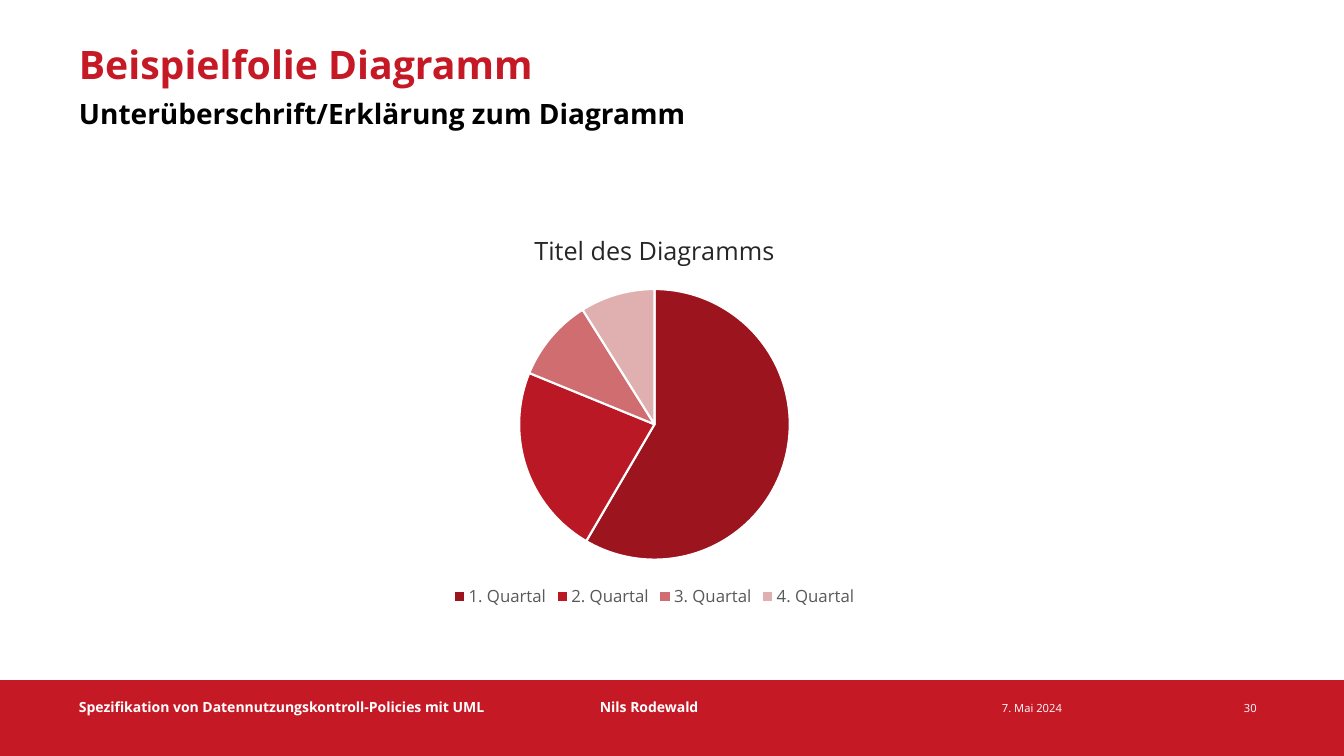
import pptx
import pptx.chart.data
import pptx.dml.color
import pptx.enum.chart
import pptx.enum.shapes
import pptx.enum.text
import pptx.util
from dataclasses import dataclass

EMU_PER_PX = 914400 / 100.8


def px(length):
    return pptx.util.Emu(round(length * EMU_PER_PX))


def rgb(code):
    return pptx.dml.color.RGBColor.from_string(code)


@dataclass(frozen=True)
class Theme:
    font: str = "Open Sans"
    red: str = "C51926"
    white: str = "FFFFFF"
    black: str = "000000"
    chart_title: str = "262626"
    legend: str = "595959"
    slices: tuple = ("9C141E", "B91824", "CF6D70", "E0AFB0")
    title_size: int = 28
    subtitle_size: int = 20
    chart_title_size: int = 18
    legend_size: int = 12
    footer_size: int = 10
    small_size: int = 8


THEME = Theme()


def style(font, size, color, bold=False):
    font.name = THEME.font
    font.size = pptx.util.Pt(size)
    font.bold = bold
    font.color.rgb = rgb(color)


def add_text(slide, box, text, size, color, bold=False,
             anchor=pptx.enum.text.MSO_ANCHOR.TOP):
    frame = slide.shapes.add_textbox(*map(px, box)).text_frame
    frame.word_wrap = True
    frame.vertical_anchor = anchor
    paragraph = frame.paragraphs[0]
    paragraph.text = text
    style(paragraph.font, size, color, bold)
    return paragraph


def add_header(slide, box):
    left, top, width, height = box
    title_height = 54
    title = add_text(slide, (left, top, width, title_height),
                     "Beispielfolie Diagramm", THEME.title_size, THEME.red,
                     bold=True, anchor=pptx.enum.text.MSO_ANCHOR.MIDDLE)
    title.line_spacing = 0.9
    add_text(slide, (left, top + title_height - 2, width, height - title_height),
             "Unterüberschrift/Erklärung zum Diagramm",
             THEME.subtitle_size, THEME.black, bold=True)


def add_quarter_chart(slide, box):
    quarters = pptx.chart.data.CategoryChartData()
    quarters.categories = [f"{number}. Quartal" for number in range(1, 5)]
    quarters.add_series("Series 1", (59, 23, 10, 9))
    chart = slide.shapes.add_chart(
        pptx.enum.chart.XL_CHART_TYPE.PIE, *map(px, box), quarters).chart
    style(chart.font, THEME.legend_size, THEME.legend)

    # Chart title
    chart.has_title = True
    heading = chart.chart_title.text_frame.paragraphs[0]
    heading.text = "Titel des Diagramms"
    style(heading.font, THEME.chart_title_size, THEME.chart_title)
    chart.chart_title.include_in_layout = False

    # Legend
    chart.has_legend = True
    chart.legend.position = pptx.enum.chart.XL_LEGEND_POSITION.BOTTOM
    chart.legend.include_in_layout = False
    style(chart.legend.font, THEME.legend_size, THEME.legend)

    # Slices
    pie = chart.plots[0]
    pie.vary_by_categories = True
    for index, color in enumerate(THEME.slices):
        slice_format = pie.series[0].points[index].format
        slice_format.fill.solid()
        slice_format.fill.fore_color.rgb = rgb(color)
        slice_format.line.color.rgb = rgb(THEME.white)
        slice_format.line.width = pptx.util.Pt(1.5)


def add_footer(slide, box):
    left, top, width, height = box
    band = slide.shapes.add_shape(
        pptx.enum.shapes.MSO_SHAPE.RECTANGLE, *map(px, box))
    band.shadow.inherit = False
    band.fill.solid()
    band.fill.fore_color.rgb = rgb(THEME.red)
    band.line.fill.background()

    # Talk, speaker, date and page number: x, y, width, text, size, bold
    entries = (
        (69, 14, 500, "Spezifikation von Datennutzungskontroll-Policies mit UML",
         THEME.footer_size, True),
        (590, 14, 377, "Nils Rodewald", THEME.footer_size, True),
        (992, 16, 195, "7. Mai 2024", THEME.small_size, False),
        (1234, 16, 73, "30", THEME.small_size, False),
    )
    for x, y, entry_width, text, size, bold in entries:
        add_text(slide, (left + x, top + y, entry_width, 30),
                 text, size, THEME.white, bold)


def main():
    deck = pptx.Presentation()
    deck.slide_width, deck.slide_height = px(1344), px(756)
    slide = deck.slides.add_slide(deck.slide_layouts[6])
    add_footer(slide, (0, 680, 1344, 76))
    add_header(slide, (69, 40, 1159, 120))
    add_quarter_chart(slide, (220, 212, 869, 400))
    deck.save("out.pptx")


if __name__ == "__main__":
    main()
